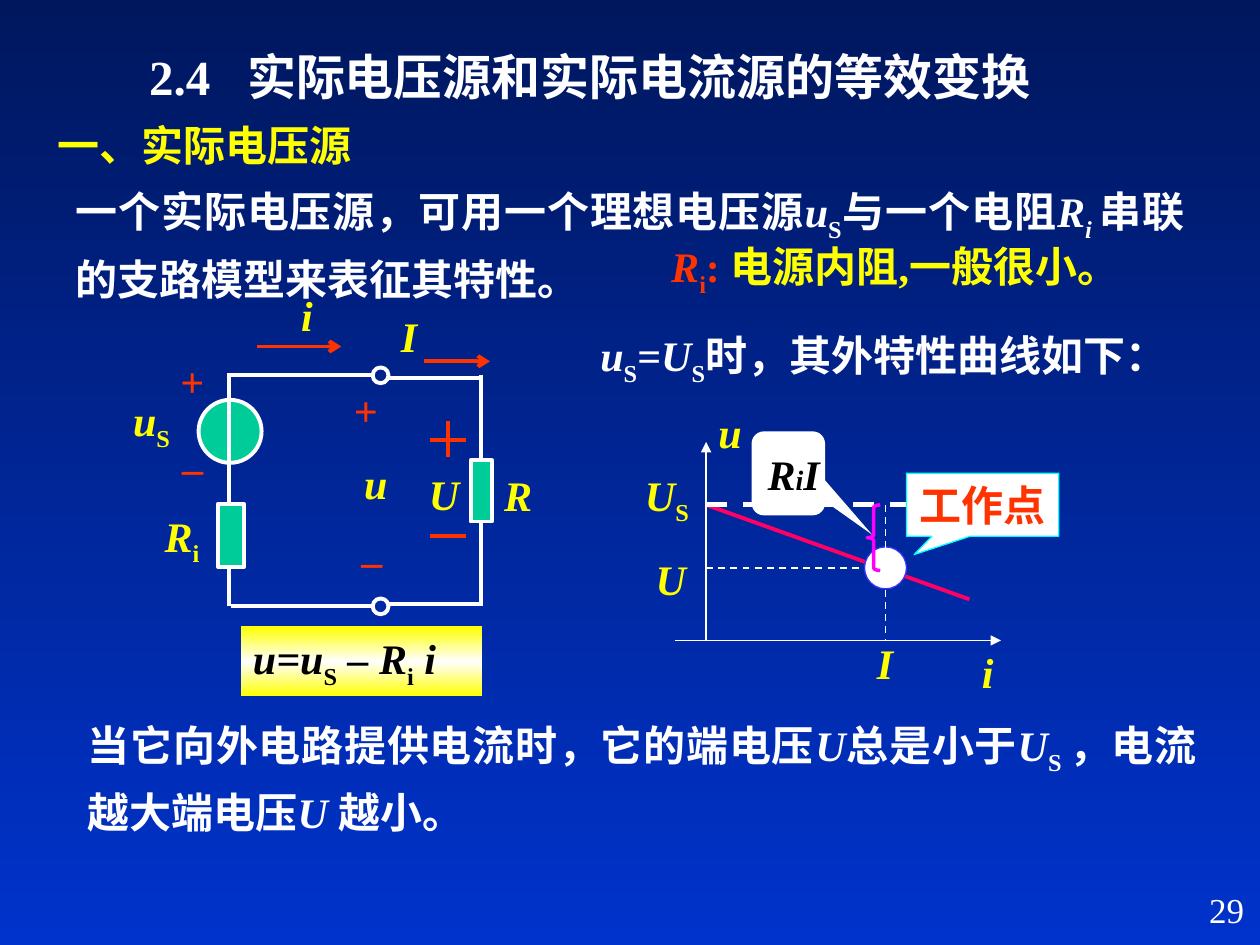
from copy import deepcopy

from lxml.etree import SubElement
from pptx import Presentation
from pptx.dml.color import RGBColor
from pptx.enum.dml import MSO_LINE
from pptx.enum.shapes import MSO_CONNECTOR, MSO_SHAPE
from pptx.enum.text import MSO_ANCHOR, PP_ALIGN
from pptx.oxml.ns import qn
from pptx.util import Pt

COLORS = {
    "night": "00175E", "blue": "0033CC", "white": "FFFFFF", "yellow": "FFFF00",
    "red": "FF3300", "black": "000000", "green": "00CC99", "pink": "FF0066",
    "magenta": "FF00FF", "cyan": "00FFFF", "outline": "3333FF",
}
FONT = "Times New Roman"
ITALIC = {"italic": True}
SUB = {"sub": True}


def rgb(name):
    return RGBColor.from_string(COLORS[name])


def write_text(shape, runs, color="yellow", size=24, bold=True, align=PP_ALIGN.LEFT,
               anchor=MSO_ANCHOR.TOP, spacing=None, wrap=True, tab=None):
    """Fill a shape with one paragraph; runs is a string or (text, format) pairs."""
    frame = shape.text_frame
    frame.word_wrap = wrap
    frame.vertical_anchor = anchor
    paragraph = frame.paragraphs[0]
    paragraph.alignment = align
    paragraph.space_before = Pt(0)
    if spacing:
        paragraph.line_spacing = spacing
    if tab:
        tabs = SubElement(paragraph._p.get_or_add_pPr(), qn("a:tabLst"))
        SubElement(tabs, qn("a:tab"), pos=str(Pt(tab)), algn="l")
    for text, style in [(runs, {})] if isinstance(runs, str) else runs:
        run = paragraph.add_run()
        run.text = text
        font = run.font
        font.name = FONT
        font.size = Pt(style.get("size", size))
        font.bold = bold
        font.italic = style.get("italic", False)
        font.color.rgb = rgb(style.get("color", color))
        if style.get("sub"):
            run._r.get_or_add_rPr().set("baseline", "-25000")


def paint_gradient(fill, names):
    """Spread the named colours evenly from top to bottom."""
    fill.gradient()
    fill.gradient_angle = 270
    first = fill.gradient_stops[0]._gs
    for _ in names[2:]:
        first.addnext(deepcopy(first))
    for index, (stop, name) in enumerate(zip(fill.gradient_stops, names)):
        stop.position = index / (len(names) - 1)
        stop.color.rgb = rgb(name)


class Region:
    """Draws on a slide with offsets from a corner."""

    def __init__(self, slide, left, top):
        self.shapes, self.left, self.top = slide.shapes, left, top

    def place(self, x, y):
        return Pt(self.left + x), Pt(self.top + y)

    def text(self, box, runs, **style):
        x, y, width, height = box
        shape = self.shapes.add_textbox(*self.place(x, y), Pt(width), Pt(height))
        write_text(shape, runs, **style)

    def shape(self, kind, box, fill=None, line=None, weight=2.25):
        x, y, width, height = box
        shape = self.shapes.add_shape(kind, *self.place(x, y), Pt(width), Pt(height))
        shape.shadow.inherit = False
        if fill:
            shape.fill.solid()
            shape.fill.fore_color.rgb = rgb(fill)
        else:
            shape.fill.background()
        if line:
            shape.line.color.rgb = rgb(line)
            shape.line.width = Pt(weight)
        else:
            shape.line.fill.background()
        return shape

    def line(self, start, end, color="white", weight=2.25, dash=False, arrow=None):
        connector = self.shapes.add_connector(
            MSO_CONNECTOR.STRAIGHT, *self.place(*start), *self.place(*end))
        connector.line.color.rgb = rgb(color)
        connector.line.width = Pt(weight)
        if dash:
            connector.line.dash_style = MSO_LINE.DASH
        properties = connector._element.spPr
        if arrow:
            SubElement(properties.find(qn("a:ln")), qn("a:tailEnd"), type=arrow)
        SubElement(properties, qn("a:effectLst"))


def add_title(slide, left, top, width, height):
    title = slide.shapes.title
    title.left, title.top, title.width, title.height = map(Pt, (left, top, width, height))
    write_text(title, "2.4\t实际电压源和实际电流源的等效变换", color="white", size=28,
               anchor=MSO_ANCHOR.MIDDLE, tab=56)


def add_circuit(slide, left, top):
    """Voltage source with inner resistance on the left, load on the right."""
    region = Region(slide, left, top)
    region.shape(MSO_SHAPE.OVAL, (44.5, 66.5, 36, 36), "green", "white")
    wires = [((62, 51.5), (62, 184.5)), ((61, 52.5), (144, 52.5)),
             ((63, 184.5), (144, 184.5)), ((206, 52.5), (206, 184.5)),
             ((153, 54), (207, 54)), ((153, 183), (207, 183))]
    for start, end in wires:
        region.line(start, end)
    for box in [(55.5, 126, 15, 36), (200, 101, 12, 35)]:
        region.shape(MSO_SHAPE.RECTANGLE, box, "green", "white")
    for y in (48, 180):
        region.shape(MSO_SHAPE.OVAL, (144, y, 9, 9), line="white")

    for start, end in [((78, 36), (126, 36)), ((173.5, 44.5), (211, 44.5))]:
        region.line(start, end, "red", arrow="arrow")
    for y in (89.5, 144.5):
        region.line((176.5, y), (197.5, y), "red")
    region.line((187, 99), (187, 78.5), "red")

    for x, y, width, runs in [
            (96, 0, 30, [("i", ITALIC)]),
            (0, 60, 42, [("u", ITALIC), ("S", SUB)]),
            (18, 126, 36, [("R", ITALIC), ("i", SUB)]),
            (132, 96, 36, [("u", ITALIC)]),
            (212, 103, 32, [("R", ITALIC)]),
            (169, 102, 32, [("U", ITALIC)]),
            (153, 12, 24, [("I", ITALIC)])]:
        region.text((x, y, width, 36), runs)
    for x, y, sign, style in [(27, 37.5, "+", {}), (28, 78.5, "_", {}),
                              (126, 54, "+", ITALIC), (132, 132, "_", ITALIC)]:
        region.text((x, y, 28, 36), [(sign, style)], color="red")


def add_characteristic(slide, left, top):
    """Voltage against current, with the working point."""
    region = Region(slide, left, top)
    origin_x, origin_y = 42, 137.5
    point_x, point_y, source_y = 144.5, 96, 60
    region.line((origin_x, source_y), (192.5, 114), "pink")
    region.line((24, origin_y), (210.5, origin_y), weight=1, arrow="triangle")
    region.line((origin_x, origin_y), (origin_x, 24), weight=1, arrow="triangle")
    region.line((origin_x, source_y), (198.5, source_y), weight=3, dash=True)
    region.line((origin_x, point_y), (point_x, point_y), weight=1, dash=True)
    region.shape(MSO_SHAPE.OVAL, (point_x - 12, point_y - 12, 24, 24),
                 "white", "outline", 0.75)
    region.line((point_x, source_y), (point_x, origin_y), weight=1, dash=True)

    for x, y, width, runs in [
            (42, 0, 30, [("u", ITALIC)]),
            (192.5, 137.5, 24, [("i", ITALIC)]),
            (0, 36, 42, [("U", ITALIC), ("S", SUB)]),
            (6, 84, 32, [("U", ITALIC)]),
            (132.5, 132, 24, [("I", ITALIC)])]:
        region.text((x, y, width, 36), runs)

    centred = {"align": PP_ALIGN.CENTER, "anchor": MSO_ANCHOR.MIDDLE, "wrap": False}
    callout = region.shape(MSO_SHAPE.RECTANGULAR_CALLOUT, (156.5, 42, 87, 36),
                           "white", "cyan", 0.75)
    callout.adjustments[0], callout.adjustments[1] = -0.45, 0.79
    write_text(callout, "工作点", color="red", **centred)

    brace = region.shape(MSO_SHAPE.LEFT_BRACE, (134, source_y, 7.5, 37.5),
                         line="magenta", weight=2)
    brace.adjustments[0] = 0.2
    drop = region.shape(MSO_SHAPE.ROUNDED_RECTANGULAR_CALLOUT, (68, 18, 42, 48), "white")
    drop.adjustments[0], drop.adjustments[1] = 1.14, 0.73
    write_text(drop, [(" R", ITALIC), ("i", {"italic": True, "size": 16}), ("I", ITALIC)],
               color="black", **centred)


def add_formula(slide, left, top, width, height):
    box = Region(slide, left, top).shape(MSO_SHAPE.RECTANGLE, (0, 0, width, height))
    paint_gradient(box.fill, ["yellow", "white", "yellow"])
    write_text(box, [("u=u", ITALIC), ("S", SUB), (" – R", ITALIC), ("i", SUB),
                     (" i", ITALIC)], color="black")


def add_explanations(slide, left, top):
    region = Region(slide, left, top)
    body = {"color": "white", "align": PP_ALIGN.JUSTIFY, "spacing": 1.2}
    region.text((0, 0.5, 240, 36), "一、实际电压源")
    region.text((10, 32, 648, 86), [
        ("一个实际电压源，可用一个理想电压源", {}), ("u", ITALIC), ("S", SUB),
        ("与一个电阻", {}), ("R", ITALIC), ("i ", {"italic": True, "sub": True}),
        ("串联的支路模型来表征其特性。", {})], **body)
    region.text((350.5, 70, 308, 40), [
        ("R", ITALIC), ("i", SUB), (": ", {}),
        ("电源内阻,一般很小。", {"color": "yellow"})], color="red")
    region.text((310, 121, 348, 40), [
        ("u", ITALIC), ("S", SUB), ("=", {}), ("U", ITALIC), ("S", SUB),
        ("时，其外特性曲线如下：", {})], color="white")
    region.text((17, 337, 648, 81), [
        ("当它向外电路提供电流时，它的端电压", {}), ("U", ITALIC), ("总是小于", {}),
        ("U", ITALIC), ("S ", SUB), ("，电流越大端电压", {}), ("U ", ITALIC),
        ("越小。", {})], **body)


def main():
    presentation = Presentation()
    presentation.slide_width, presentation.slide_height = Pt(720), Pt(540)
    slide = presentation.slides.add_slide(presentation.slide_layouts[5])
    paint_gradient(slide.background.fill, ["night", "blue"])
    add_title(slide, 78, 22, 558, 42.5)
    add_explanations(slide, 26, 64)
    add_circuit(slide, 69, 162)
    add_characteristic(slide, 361.5, 228.5)
    add_formula(slide, 137.5, 358, 138, 40)
    Region(slide, 568, 504).text((0, 0, 150, 36), "29", color="white", size=20,
                                 bold=False, align=PP_ALIGN.RIGHT)
    presentation.save("out.pptx")


if __name__ == "__main__":
    main()
